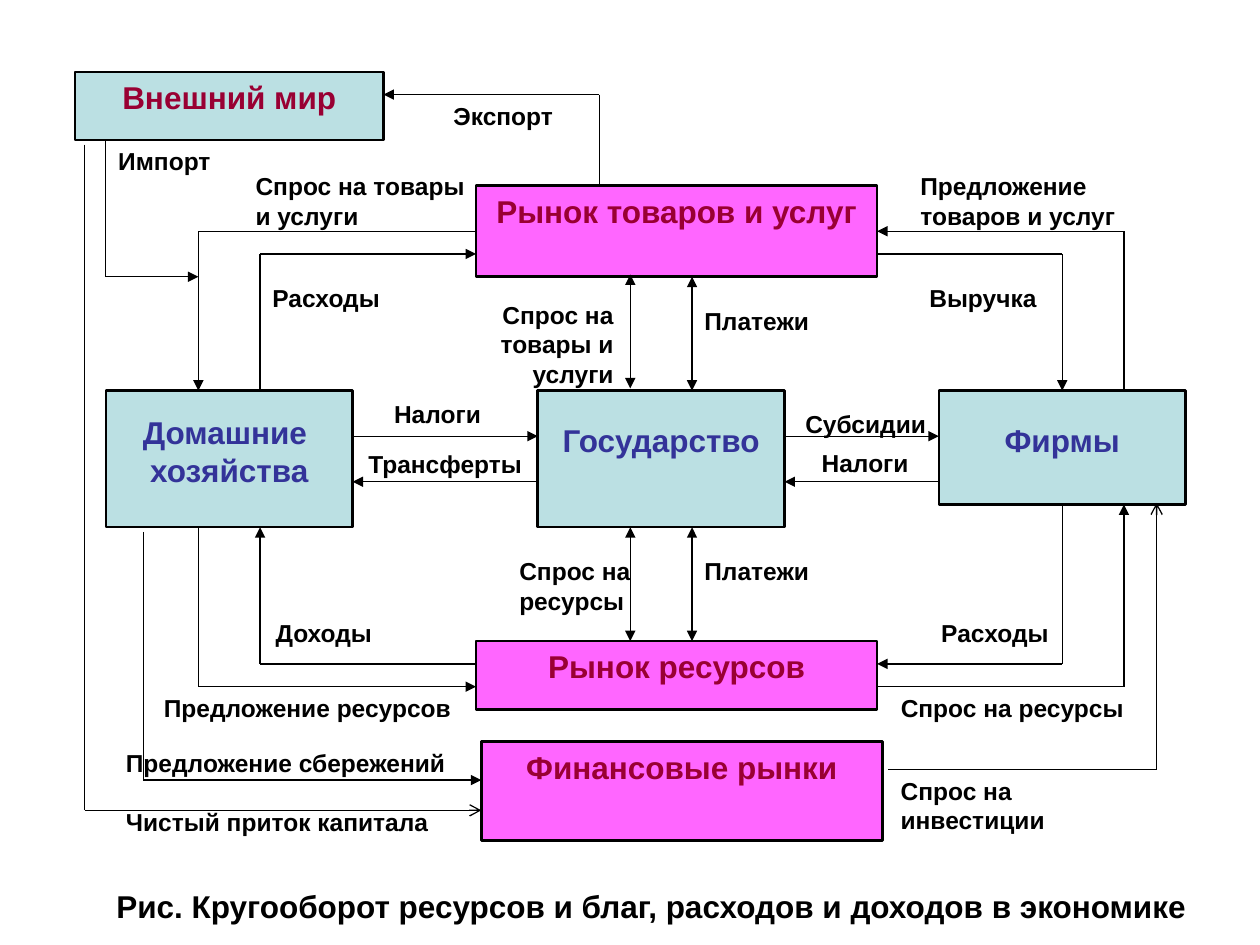
from itertools import pairwise

from lxml.etree import SubElement
from pptx import Presentation
from pptx.dml.color import RGBColor
from pptx.enum.shapes import MSO_CONNECTOR, MSO_SHAPE
from pptx.enum.text import MSO_ANCHOR, PP_ALIGN
from pptx.oxml.ns import qn
from pptx.util import Inches, Pt

BLACK = RGBColor(0x00, 0x00, 0x00)
PINK = RGBColor(0xFF, 0x66, 0xFF)
TEAL = RGBColor(0xBB, 0xE0, 0xE3)
WINE = RGBColor(0x99, 0x00, 0x33)
INDIGO = RGBColor(0x33, 0x33, 0x99)

WIDTH, HEIGHT = 10, 7.5
LEFT, TOP = 0.84, 0.57
COL = (9.41 - LEFT) / 35
ROW = (5.45 - TOP) / 27

L, C, R = PP_ALIGN.LEFT, PP_ALIGN.CENTER, PP_ALIGN.RIGHT

BOXES = [
    ("Внешний мир", -1, 0, 10, 3, TEAL, WINE, 0.05),
    ("Рынок товаров и услуг", 12, 5, 13, 4, PINK, WINE, 0.05),
    ("Домашние \nхозяйства", 0, 14, 8, 6, TEAL, INDIGO, 0.18),
    ("Государство", 14, 14, 8, 6, TEAL, INDIGO, 0.24),
    ("Фирмы", 27, 14, 8, 5, TEAL, INDIGO, 0.24),
    ("Рынок ресурсов", 12, 25, 13, 3, PINK, WINE, 0.05),
    ("Финансовые рынки", 12.17, 29.4, 13, 4.37, PINK, WINE, 0.05),
]

FLOWS = [
    ([(16, 5), (16, 1), (9, 1)], {}),
    ([(0, 3), (0, 9), (3, 9)], {}),
    ([(5, 14), (5, 8), (12, 8)], {"width": 1.5}),
    ([(12, 7), (3, 7), (3, 14)], {}),
    ([(12, 26), (5, 26), (5, 20)], {}),
    ([(3, 20), (3, 27), (12, 27)], {}),
    ([(25, 27), (33, 27), (33, 19)], {}),
    ([(33, 14), (33, 7), (25, 7)], {}),
    ([(25, 8), (31, 8), (31, 14)], {}),
    ([(31, 19), (31, 26), (25, 26)], {}),
    ([(8, 16), (14, 16)], {}),
    ([(14, 18), (8, 18)], {}),
    ([(22, 16), (27, 16)], {}),
    ([(27, 18), (22, 18)], {}),
    ([(17, 25), (17, 20)], {"head": "triangle"}),
    ([(19, 20), (19, 25)], {"head": "triangle"}),
    ([(17, 8.9), (17, 13.9)], {"head": "triangle"}),
    ([(19, 14), (19, 9)], {"head": "triangle"}),
    ([(25.36, 30.65), (34.06, 30.65), (34.06, 18.93)], {"tail": "arrow"}),
    ([(1.22, 20.2), (1.22, 31.1), (12.17, 31.1)], {}),
    ([(-0.69, 3.2), (-0.69, 32.43), (12.17, 32.43)], {"tail": "arrow"}),
]

LABELS = [
    ("Экспорт", 10, 1, 5.76, 2, C),
    ("Импорт", 0, 3, 5, 2, L),
    ("Спрос на товары\nи услуги", 4.45, 4.1, 10, 2, L),
    ("Предложение товаров и услуг", 26, 4.1, 8, 2, L),
    ("Расходы", 5, 9, 4.57, 2, L),
    ("Выручка", 26, 9, 4.86, 2, C),
    ("Спрос на товары и услуги", 10.86, 9.74, 6, 4, R),
    ("Платежи", 19, 10, 7, 3, L),
    ("Налоги", 8.94, 14.1, 5, 2, L),
    ("Субсидии", 22.13, 14.55, 5, 2, C),
    ("Трансферты", 8, 16.27, 6, 3, C),
    ("Налоги", 22.8, 16.27, 4, 2, L),
    ("Спрос на ресурсы", 13, 21, 5, 3, L),
    ("Платежи", 19, 21, 6, 3, L),
    ("Доходы", 5.1, 23.7, 5, 2, L),
    ("Расходы", 26.3, 23.7, 4.66, 2, R),
    ("Предложение ресурсов", 0.9, 27, 11.27, 4, C),
    ("Спрос на ресурсы", 25.03, 27, 8.7, 2, C),
    ("Предложение сбережений", 0.25, 29.4, 11.6, 2, L),
    ("Спрос на инвестиции", 25.36, 30.65, 8.04, 2, L),
    ("Чистый приток капитала", 0.25, 32, 11.56, 2, L),
]


def grid_point(col, row):
    return Inches(LEFT + col * COL), Inches(TOP + row * ROW)


def grid_area(col, row, cols, rows):
    return *grid_point(col, row), Inches(cols * COL), Inches(rows * ROW)


def write(sp, text, size, color, align, anchor=MSO_ANCHOR.TOP, top=0.05):
    tf = sp.text_frame
    tf.text = text
    frame = {"word_wrap": True, "vertical_anchor": anchor, "margin_top": Inches(top)}
    for name, value in frame.items():
        setattr(tf, name, value)
    for p in tf.paragraphs:
        p.alignment = align
        font = p.runs[0].font
        for name, value in {"name": "Arial", "size": Pt(size), "bold": True}.items():
            setattr(font, name, value)
        font.color.rgb = color


def add_box(s, text, col, row, cols, rows, fill, color, top):
    sp = s.shapes.add_shape(MSO_SHAPE.RECTANGLE, *grid_area(col, row, cols, rows))
    sp.shadow.inherit = False
    sp.fill.solid()
    sp.fill.fore_color.rgb = fill
    sp.line.color.rgb = BLACK
    sp.line.width = Pt(1.5)
    write(sp, text, 18, color, C, top=top)


def add_label(s, text, col, row, cols, rows, align):
    sp = s.shapes.add_textbox(*grid_area(col, row, cols, rows))
    write(sp, text, 14, BLACK, align)


def add_segment(s, start, end, width):
    line = s.shapes.add_connector(
        MSO_CONNECTOR.STRAIGHT, *grid_point(*start), *grid_point(*end))
    line.line.color.rgb = BLACK
    line.line.width = Pt(width)
    SubElement(line._element.spPr, qn("a:effectLst"))
    return line


def add_arrowhead(line, tag, kind):
    SubElement(line.line._get_or_add_ln(), qn(tag), type=kind)


def add_flow(s, points, width=0.75, head=None, tail="triangle"):
    lines = [add_segment(s, a, b, width) for a, b in pairwise(points)]
    if head:
        add_arrowhead(lines[0], "a:headEnd", head)
    add_arrowhead(lines[-1], "a:tailEnd", tail)


def add_title(s, text):
    sp = s.shapes.title
    place = {"left": 0.067 * WIDTH, "top": 0.917 * HEIGHT,
             "width": 0.9 * WIDTH, "height": 0.083 * HEIGHT}
    for name, value in place.items():
        setattr(sp, name, Inches(value))
    write(sp, text, 18, BLACK, C, MSO_ANCHOR.MIDDLE)


def main():
    prs = Presentation()
    prs.slide_width, prs.slide_height = Inches(WIDTH), Inches(HEIGHT)
    s = prs.slides.add_slide(prs.slide_layouts[5])
    add_title(s, "Рис. Кругооборот ресурсов и благ, расходов и доходов в экономике")
    for box in BOXES:
        add_box(s, *box)
    for points, style in FLOWS:
        add_flow(s, points, **style)
    for label in LABELS:
        add_label(s, *label)
    prs.save("out.pptx")


if __name__ == "__main__":
    main()
